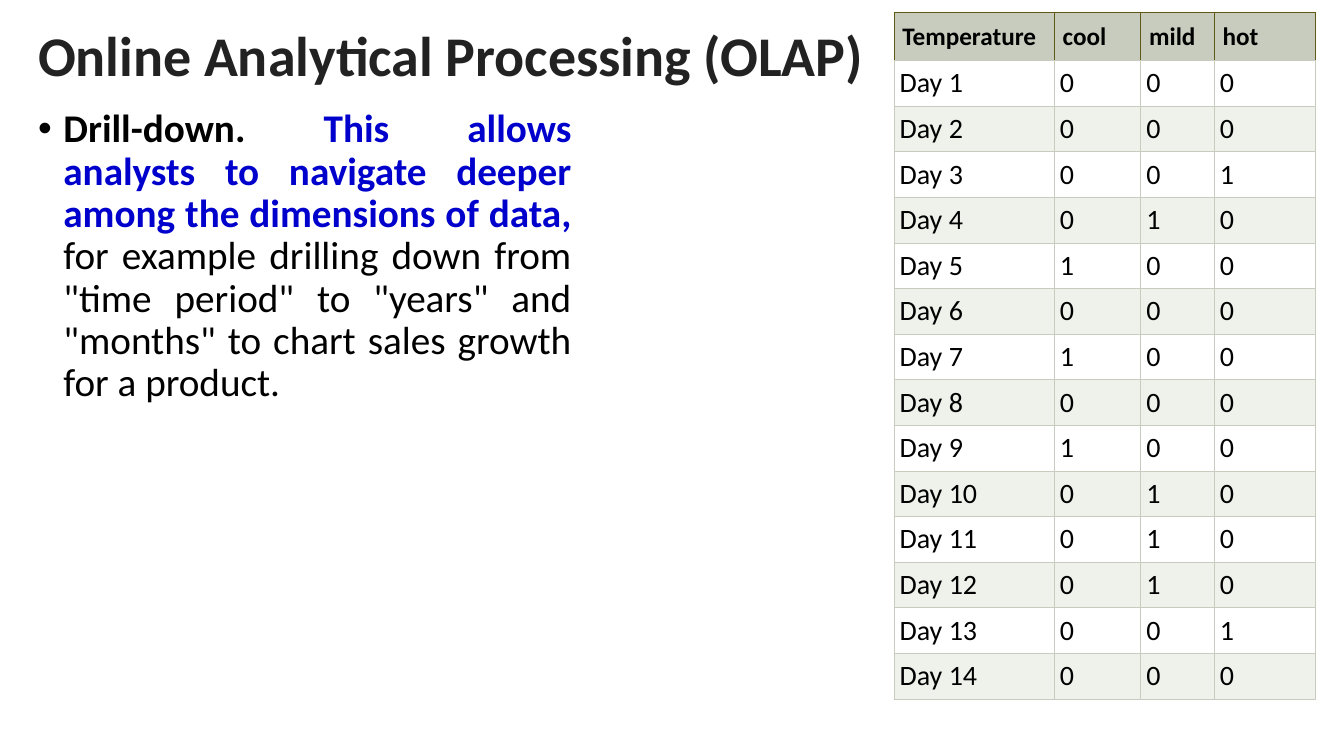
from lxml import etree
from pptx import Presentation
from pptx.dml.color import RGBColor
from pptx.enum import text
from pptx.oxml import ns
from pptx.util import Cm, Pt


def hue(code):
    return RGBColor.from_string(code)


def add_run(para, words, size, code="000000", bold=False):
    run = para.add_run()
    run.text = words
    font = run.font
    font.name, font.size, font.bold = "Calibri", Pt(size), bold
    font.color.rgb = hue(code)


deck = Presentation()
deck.slide_width, deck.slide_height = Cm(33.87), Cm(19.05)
slide = deck.slides.add_slide(deck.slide_layouts[6])

# Title
title = slide.shapes.add_textbox(Cm(0.71), Cm(0.33), Cm(29.21), Cm(2.29))
frame = title.text_frame
frame.word_wrap = True
frame.vertical_anchor = text.MSO_ANCHOR.MIDDLE
para = frame.paragraphs[0]
para.line_spacing = 0.9
add_run(para, "Online Analytical Processing (OLAP)", 40, "222222", True)

# Bullet text
body = slide.shapes.add_textbox(Cm(0.71), Cm(2.62), Cm(13.94), Cm(15.82))
frame = body.text_frame
frame.word_wrap = True
para = frame.paragraphs[0]
props = para._p.get_or_add_pPr()
props.set("marL", str(Cm(0.64)))
props.set("indent", str(Cm(-0.64)))
etree.SubElement(props, ns.qn("a:buFont")).set("typeface", "Arial")
etree.SubElement(props, ns.qn("a:buChar")).set("char", "•")
para.alignment = text.PP_ALIGN.JUSTIFY
para.line_spacing = 0.9
add_run(para, "Drill-down. ", 28, bold=True)
add_run(para, "This allows analysts to navigate deeper among the dimensions of data, ",
        28, "0000CC", True)
add_run(para, 'for example drilling down from "time period" to "years" and "months" '
        "to chart sales growth for a product.", 28)

# Table data: the days on which each column shows 1
days = 14
marks = {"cool": (5, 7, 9), "mild": (4, 10, 11, 12), "hot": (3, 13)}
rows = [["Temperature", *marks]]
for day in range(1, days + 1):
    rows.append([f"Day {day}"] + [str(int(day in hits)) for hits in marks.values()])

# Table frame
widths = (4.04, 2.18, 1.85, 2.55)
head, step = 1.21, 1.15
grid = slide.shapes.add_table(len(rows), len(widths), Cm(22.53), Cm(0.32),
                              Cm(sum(widths)), Cm(head + days * step)).table
for col, width in zip(grid.columns, widths):
    col.width = Cm(width)

# Table cells
for i, row in enumerate(rows):
    top = i == 0
    grid.rows[i].height = Cm(head if top else step)
    for j, words in enumerate(row):
        cell = grid.cell(i, j)
        pad = Cm(0.21 if top else 0.14)
        cell.margin_left = cell.margin_right = pad
        cell.margin_top = cell.margin_bottom = pad
        props = cell._tc.get_or_add_tcPr()
        for side in "LRTB":
            line = etree.SubElement(props, ns.qn(f"a:ln{side}"), w=str(Pt(0.75)))
            fill = etree.SubElement(line, ns.qn("a:solidFill"))
            code = "605915" if top and side != "B" else "C7CCBE"
            etree.SubElement(fill, ns.qn("a:srgbClr"), val=code)
        cell.fill.solid()
        cell.fill.fore_color.rgb = hue("C7CCBE" if top else ("EFF1EB", "FFFFFF")[i % 2])
        para = cell.text_frame.paragraphs[0]
        para.alignment = text.PP_ALIGN.LEFT if top else text.PP_ALIGN.JUSTIFY
        add_run(para, words, 18 if top else 20, bold=top)

deck.save("out.pptx")
